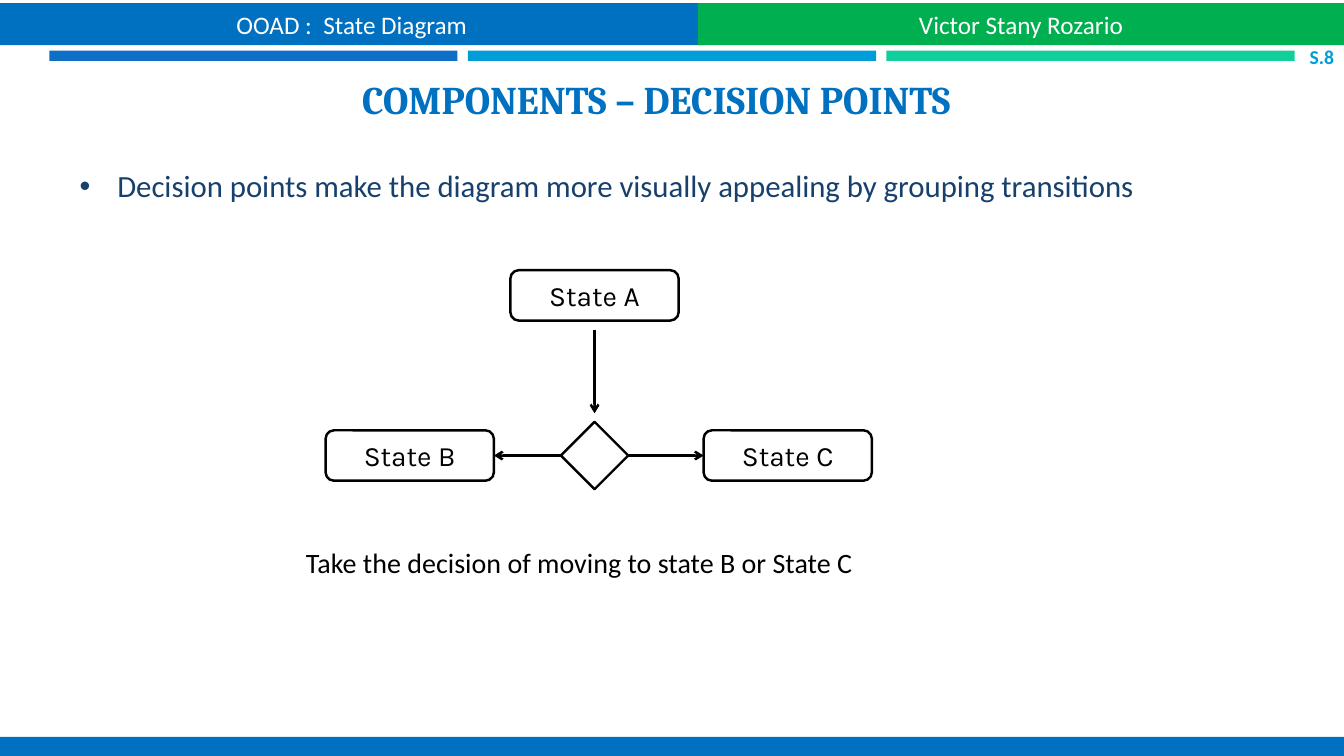
from lxml import etree
from pptx import Presentation
from pptx.dml.color import RGBColor
from pptx.enum import shapes, text
from pptx.oxml.ns import qn
from pptx.util import Pt

BLUE, GREEN, SKY, NAVY = "0070C0", "00B050", "009DD9", "17406D"
BLACK, WHITE = "000000", "FFFFFF"
PRESET = shapes.MSO_SHAPE
ALIGN = text.PP_ALIGN


def colour(hex_code):
    """Turn a hex string into a colour."""
    return RGBColor.from_string(hex_code)


def write(shape, words, size, face, ink, align, bold=False, wrap=True,
          anchor=text.MSO_ANCHOR.MIDDLE):
    """Fill a shape with one formatted paragraph and return the paragraph."""
    frame = shape.text_frame
    frame.text = words
    frame.word_wrap = wrap
    frame.auto_size = text.MSO_AUTO_SIZE.NONE
    frame.vertical_anchor = anchor
    line = frame.paragraphs[0]
    line.alignment = align
    line.space_before = Pt(0)
    line.font.size = Pt(size)
    line.font.name = face
    line.font.bold = bold
    line.font.color.rgb = colour(ink)
    return line


def place(shape, left, top, width, height):
    """Move a shape to a box given in points."""
    shape.left, shape.top = Pt(left), Pt(top)
    shape.width, shape.height = Pt(width), Pt(height)


def add_block(slide, preset, box, fill, outline=None):
    """Add a filled shape, outlined in black line weight when asked."""
    block = slide.shapes.add_shape(preset, *map(Pt, box))
    block.shadow.inherit = False
    block.fill.solid()
    block.fill.fore_color.rgb = colour(fill)
    if outline:
        block.line.color.rgb = colour(outline)
        block.line.width = Pt(1.75)
    else:
        block.line.fill.background()
    return block


def add_arrow(slide, start, end):
    """Add a black line with an open arrowhead at its end."""
    arrow = slide.shapes.add_connector(
        shapes.MSO_CONNECTOR.STRAIGHT, *map(Pt, start + end))
    arrow.line.color.rgb = colour(BLACK)
    arrow.line.width = Pt(1.75)
    etree.SubElement(arrow.line._get_or_add_ln(), qn("a:tailEnd"), type="arrow")
    etree.SubElement(arrow._element.spPr, qn("a:effectLst"))
    return arrow


def add_header(slide, left, top, width):
    """Draw the course and author bands, the three stripes and the page mark."""
    split, band_height = 498.5, 30
    bands = ((left, split + 4, BLUE, "OOAD :  State Diagram"),
             (left + split, width - split, GREEN, "Victor Stany Rozario"))
    for band_left, band_width, fill, words in bands:
        band = add_block(slide, PRESET.RECTANGLE,
                         (band_left, top, band_width, band_height), fill)
        write(band, words, 18, "Calibri", WHITE, ALIGN.CENTER)
    for column, fill in enumerate(("0F6FC6", SKY, "10CF9B")):
        add_block(slide, PRESET.RECTANGLE,
                  (left + 35.2 + column * 299, top + 34, 291.6, 7.4), fill)
    page = slide.shapes.add_textbox(
        Pt(left + width - 47), Pt(top + 30.2), Pt(40), Pt(16))
    page.text_frame.margin_left = page.text_frame.margin_right = 0
    page.text_frame.margin_top = page.text_frame.margin_bottom = 0
    write(page, "S.8", 14, "Calibri", SKY, ALIGN.RIGHT, bold=True)


def add_statement(slide, left, top, width):
    """Set the heading and its bulleted statement in the placeholders."""
    heading, statement = slide.placeholders
    place(heading, left, top, width, 44.6)
    write(heading, "COMPONENTS – DECISION POINTS", 28, "Cambria", BLUE,
          ALIGN.CENTER, bold=True, anchor=text.MSO_ANCHOR.BOTTOM)
    place(statement, left + 15, top + 57.6, width + 15, 57.6)
    statement.text_frame.text = ""
    props = statement.text_frame.paragraphs[0]._p.get_or_add_pPr()
    props.set("marL", str(Pt(24)))
    props.set("indent", str(-Pt(24)))
    tint = etree.SubElement(props, qn("a:buClr"))
    etree.SubElement(tint, qn("a:srgbClr"), val=SKY)
    etree.SubElement(props, qn("a:buSzPct"), val="92000")
    etree.SubElement(props, qn("a:buChar"), char="❑")
    line = write(
        statement,
        "Decision points make the diagram more visually appealing by grouping transitions",
        22, "Calibri", NAVY, ALIGN.LEFT)
    line.space_after = Pt(6)


def add_state(slide, name, left, top):
    """Draw one named state."""
    state = add_block(slide, PRESET.ROUNDED_RECTANGLE,
                      (left, top, 120.2, 36), WHITE, BLACK)
    write(state, f"State {name}", 20, "Karla", BLACK, ALIGN.CENTER, wrap=False)
    return state


def add_diagram(slide, left, top):
    """Draw state A leading through a decision to states B and C."""
    middle, lower, side = left + 192.1, top + 114.4, 48.2
    add_state(slide, "A", middle - 60.1, top)
    state_b = add_state(slide, "B", left, lower)
    state_c = add_state(slide, "C", left + 270, lower)
    decision = add_block(
        slide, PRESET.DIAMOND,
        (middle - side / 2, lower + 18 - side / 2, side, side), WHITE, BLACK)
    add_arrow(slide, (middle, top + 42.4), (middle, top + 102.2))
    for state, decision_site, state_site in ((state_b, 1, 3), (state_c, 3, 1)):
        branch = add_arrow(slide, (middle, lower), (middle, lower))
        branch.begin_connect(decision, decision_site)
        branch.end_connect(state, state_site)


def add_caption(slide, left, top, width):
    """Explain the decision below the diagram."""
    caption = slide.shapes.add_textbox(Pt(left), Pt(top), Pt(width), Pt(34))
    caption.text_frame.margin_left = caption.text_frame.margin_right = Pt(8.6)
    caption.text_frame.margin_top = caption.text_frame.margin_bottom = Pt(4.3)
    line = write(caption, "Take the decision of moving to state B or State C",
                 20, "Calibri", BLACK, ALIGN.LEFT,
                 anchor=text.MSO_ANCHOR.TOP)
    line._p.get_or_add_pPr().set("marL", str(Pt(27)))


def main():
    """Build the slide and save it."""
    deck = Presentation()
    deck.slide_width, deck.slide_height = Pt(960), Pt(540)
    slide = deck.slides.add_slide(deck.slide_layouts[1])
    add_header(slide, 0, 2.2, 960)
    add_statement(slide, 34.6, 46.1, 868.3)
    add_diagram(slide, 232.6, 193)
    add_caption(slide, 182.9, 385.4, 569.5)
    add_block(slide, PRESET.RECTANGLE, (0, 526.3, 960, 17.3), BLUE)
    deck.save("out.pptx")


if __name__ == "__main__":
    main()
